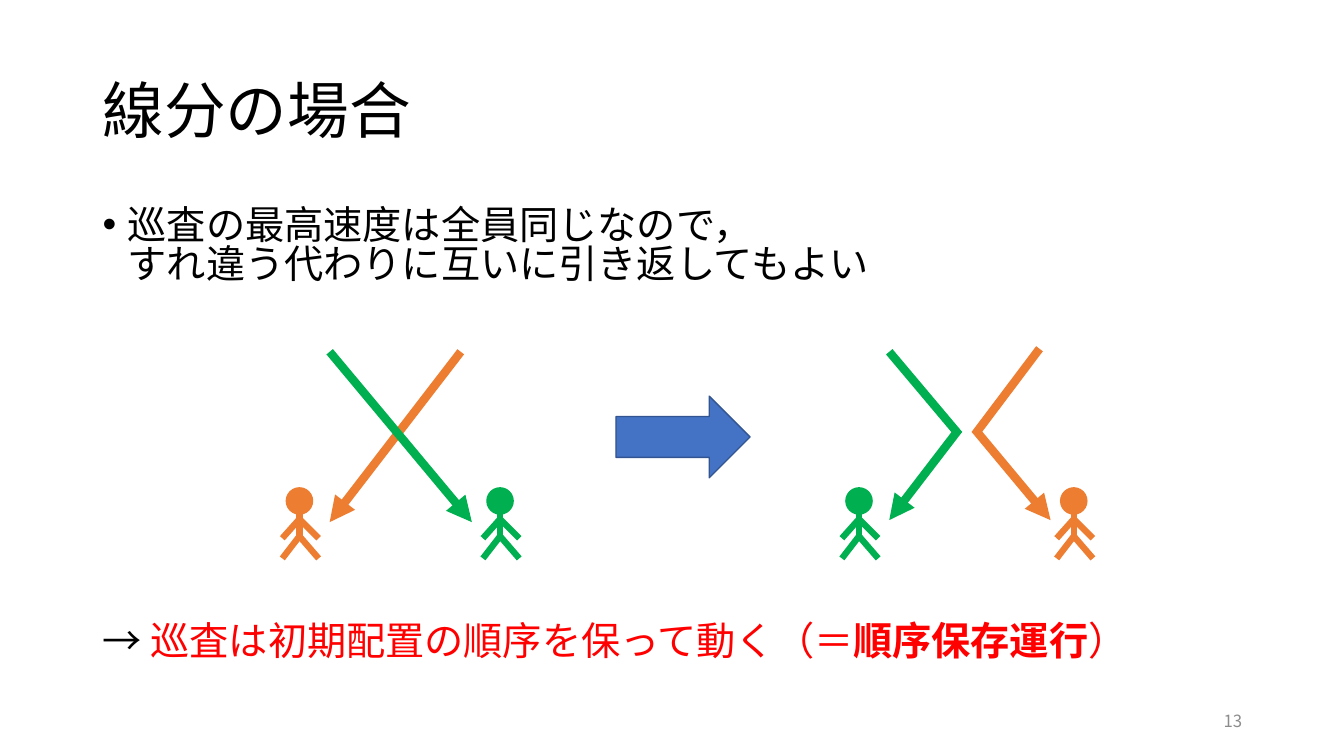
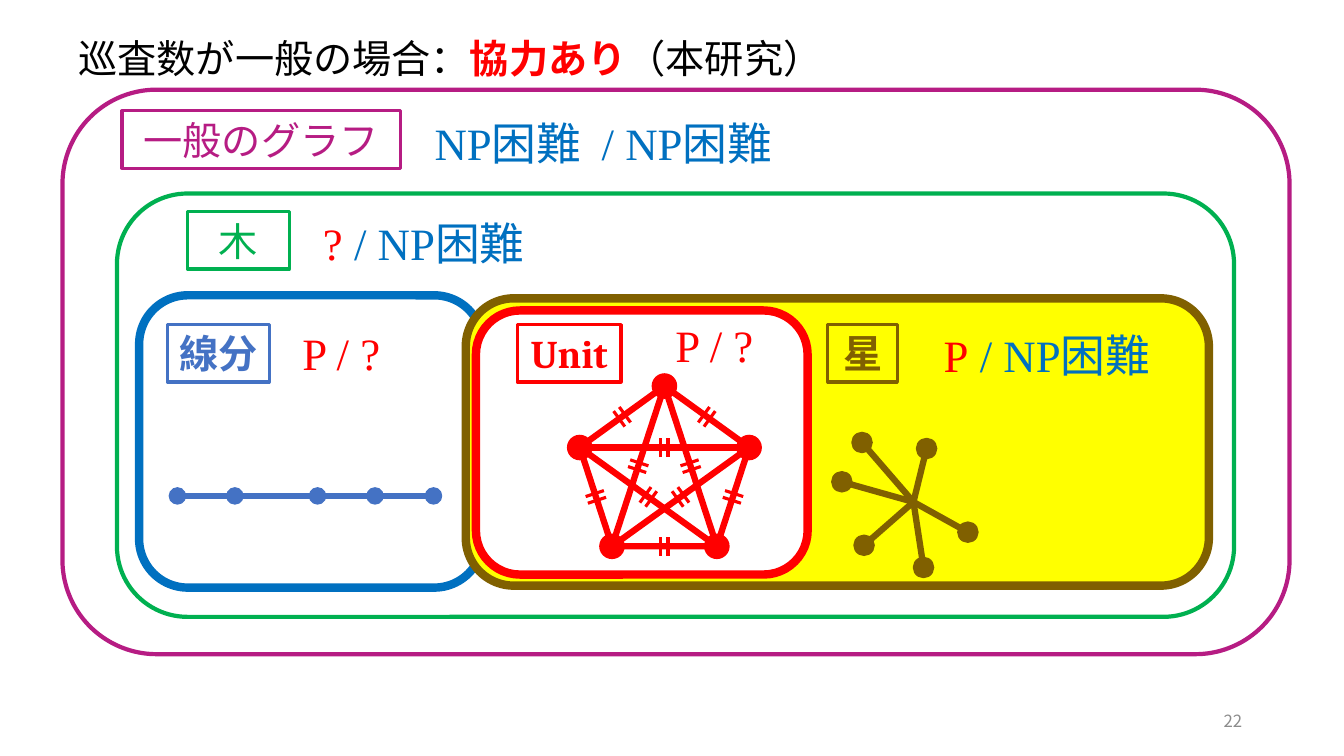
"""Build two slides on patrol schedules: a line segment case and a complexity map."""
from itertools import combinations
from math import hypot

from lxml import etree
from pptx import Presentation
from pptx.dml.color import RGBColor
from pptx.enum.shapes import MSO_CONNECTOR, MSO_SHAPE
from pptx.enum.text import MSO_ANCHOR, PP_ALIGN
from pptx.oxml.ns import qn
from pptx.util import Inches, Pt

STRAIGHT = MSO_CONNECTOR.STRAIGHT
OVAL, RECTANGLE = MSO_SHAPE.OVAL, MSO_SHAPE.RECTANGLE
ROUNDED, PENTAGON = MSO_SHAPE.ROUNDED_RECTANGLE, MSO_SHAPE.REGULAR_PENTAGON
RIGHT_ARROW = MSO_SHAPE.RIGHT_ARROW
TOP, MIDDLE = MSO_ANCHOR.TOP, MSO_ANCHOR.MIDDLE
LEFT, CENTER, RIGHT = PP_ALIGN.LEFT, PP_ALIGN.CENTER, PP_ALIGN.RIGHT

SANS, SERIF, CAMBRIA = "Noto Sans CJK JP", "Times New Roman", "Cambria"
BLACK, WHITE, GRAY = "000000", "FFFFFF", "8C8C8C"
RED, GREEN, ORANGE, PURPLE = "FF0000", "00B050", "ED7D31", "B61C83"
BLUE, STEEL, NAVY = "0070C0", "4472C4", "325491"
YELLOW, BROWN = "FFFF00", "806000"


def color(value):
    """Turn a hex string into a colour."""
    return RGBColor.from_string(value)


def add_span(para, text, size, ink, font, bold):
    """Add one run of text, with its East Asian font."""
    span = para.add_run()
    span.text = text
    span.font.size, span.font.bold, span.font.name = Pt(size), bold, font
    span.font.color.rgb = color(ink)
    etree.SubElement(span._r.get_or_add_rPr(), qn("a:ea"), typeface=SANS)


def write(box, spans, size=28, ink=BLACK, font=SANS, bold=False,
          align=LEFT, anchor=TOP, spacing=None, bullet=False):
    """Fill a box with one paragraph; spans are a text or (text, format) pairs."""
    frame = box.text_frame
    frame.word_wrap, frame.vertical_anchor = True, anchor
    para = frame.paragraphs[0]
    para.alignment, para.line_spacing = align, spacing
    if bullet:
        properties = para._p.get_or_add_pPr()
        properties.set("marL", str(Inches(0.25)))
        properties.set("indent", str(-Inches(0.25)))
        etree.SubElement(properties, qn("a:buFont"), typeface="Arial")
        etree.SubElement(properties, qn("a:buChar"), char="•")
    base = {"size": size, "ink": ink, "font": font, "bold": bold}
    for text, changes in [(spans, {})] if isinstance(spans, str) else spans:
        for number, line in enumerate(text.split("\n")):
            if number:
                para.add_line_break()
            add_span(para, line, **{**base, **changes})


def add_text(page, left, top, width, height, spans, **style):
    """Add a text box."""
    box = page.shapes.add_textbox(*map(Inches, (left, top, width, height)))
    write(box, spans, **style)


def add_shape(page, kind, left, top, width, height, line, weight=1, fill=None):
    """Add a preset shape without a shadow."""
    shape = page.shapes.add_shape(kind, *map(Inches, (left, top, width, height)))
    shape.shadow.inherit = False
    if fill:
        shape.fill.solid()
        shape.fill.fore_color.rgb = color(fill)
    else:
        shape.fill.background()
    shape.line.color.rgb = color(line)
    shape.line.width = Pt(weight)
    return shape


def add_label(page, left, top, width, text, ink, **style):
    """Add a framed label with centred text."""
    box = add_shape(page, RECTANGLE, left, top, width, 0.57, ink, 2.25)
    write(box, text, ink=ink, align=CENTER, anchor=MIDDLE, **style)


def add_line(page, start, end, ink, weight=4.5, arrow=False):
    """Add a straight line, with an arrowhead at its end if asked."""
    line = page.shapes.add_connector(STRAIGHT, *map(Inches, (*start, *end)))
    line.line.color.rgb = color(ink)
    line.line.width = Pt(weight)
    if arrow:
        etree.SubElement(line.line._get_or_add_ln(), qn("a:tailEnd"), type="triangle")
    etree.SubElement(line._element.spPr, qn("a:effectLst"))


def add_dot(page, center, size, ink):
    """Add a filled circle around a point."""
    x, y = center
    add_shape(page, OVAL, x - size / 2, y - size / 2, size, size, ink, fill=ink)


def add_person(page, x, top, ink):
    """Add a stick figure whose head touches the given top."""
    add_dot(page, (x, top + 0.13), 0.26, ink)
    add_line(page, (x, top + 0.26), (x, top + 0.5), ink)
    for joint, reach in ((0.31, 0.5), (0.48, 0.7)):
        for side in (0.19, -0.17):
            add_line(page, (x, top + joint), (x + side, top + reach), ink)


def add_ticks(page, start, end, ink):
    """Mark the middle of an edge with two short strokes across it."""
    length = hypot(end[0] - start[0], end[1] - start[1])
    along_x, along_y = ((b - a) / length for a, b in zip(start, end))
    for shift in (-0.035, 0.035):
        x = (start[0] + end[0]) / 2 + shift * along_x
        y = (start[1] + end[1]) / 2 + shift * along_y
        half_x, half_y = -0.095 * along_y, 0.095 * along_x
        add_line(page, (x - half_x, y - half_y), (x + half_x, y + half_y), ink, 2.25)


def add_unit_graph(page):
    """Add the complete graph on five vertices with equal edges."""
    vertices = [(6.59, 3.83), (7.43, 4.44), (7.11, 5.42), (6.07, 5.42), (5.75, 4.44)]
    add_shape(page, PENTAGON, 5.75, 3.83, 1.68, 1.59, RED, 4.5)
    for first, second in combinations(range(5), 2):
        start, end = vertices[first], vertices[second]
        if second - first in (2, 3):
            add_line(page, start, end, RED)
        add_ticks(page, start, end, RED)
    for vertex in vertices:
        add_dot(page, vertex, 0.24, RED)


def add_star_graph(page):
    """Add the star with six leaves."""
    leaves = [(8.55, 4.39), (9.19, 4.45), (9.6, 5.28),
              (9.16, 5.63), (8.57, 5.41), (8.35, 4.78)]
    for leaf in leaves:
        add_line(page, (9.06, 4.98), leaf, BROWN)
        add_dot(page, leaf, 0.2, BROWN)


def add_path_graph(page):
    """Add the path with five vertices."""
    add_line(page, (1.76, 4.92), (4.3, 4.92), STEEL)
    for x in (1.76, 2.33, 3.15, 3.72, 4.3):
        add_dot(page, (x, 4.92), 0.16, STEEL)


def add_page(deck, number):
    """Add a blank slide with its page number."""
    page = deck.slides.add_slide(deck.slide_layouts[6])
    add_text(page, 9.42, 6.95, 3, 0.4, str(number), size=12, ink=GRAY,
             align=RIGHT, anchor=MIDDLE)
    return page


def build_segment_page(deck):
    """Show that crossing patrollers may turn back instead."""
    page = add_page(deck, 13)
    add_text(page, 0.92, 0.4, 11.5, 1.45, "線分の場合", size=44,
             anchor=MIDDLE, spacing=0.9)
    add_text(page, 0.92, 2.02, 11.5, 1.1,
             "巡査の最高速度は全員同じなので，\nすれ違う代わりに互いに引き返してもよい",
             spacing=0.83, bullet=True)
    add_text(page, 0.92, 6.14, 11.5, 0.6,
             [("→ ", {}), ("巡査は初期配置の順序を保って動く（＝", {"ink": RED}),
              ("順序保存運行", {"ink": RED, "bold": True}), ("）", {"ink": RED})],
             spacing=0.83)
    for start, end, ink, arrow in (
            ((4.57, 3.49), (3.27, 5.18), ORANGE, True),
            ((3.27, 3.49), (4.68, 5.18), GREEN, True),
            ((9.51, 4.26), (8.82, 5.16), GREEN, True),
            ((9.67, 4.26), (10.42, 5.16), ORANGE, True),
            ((9.51, 4.31), (8.82, 3.49), GREEN, False),
            ((9.67, 4.31), (10.31, 3.46), ORANGE, False)):
        add_line(page, start, end, ink, 6, arrow)
    add_shape(page, RIGHT_ARROW, 6.11, 3.93, 1.33, 0.81, NAVY, fill=STEEL)
    for x, ink in ((2.97, ORANGE), (4.96, GREEN), (8.52, GREEN), (10.65, ORANGE)):
        add_person(page, x, 4.84, ink)


def build_complexity_page(deck):
    """Map the complexity of each graph class."""
    page = add_page(deck, 22)
    add_text(page, 0.68, 0.29, 7.66, 0.57,
             [("巡査数が一般の場合：", {}), ("協力あり", {"ink": RED, "bold": True}),
              ("（本研究）", {})])
    for left, top, width, height, ink, weight, fill in (
            (0.62, 0.89, 12.17, 5.6, PURPLE, 3, None),
            (1.16, 1.92, 11.08, 4.2, GREEN, 3, None),
            (1.38, 2.93, 3.41, 2.9, BLUE, 6, None),
            (4.62, 2.96, 7.37, 2.85, BROWN, 6, YELLOW),
            (4.72, 3.08, 3.29, 2.62, RED, 6, WHITE)):
        add_shape(page, ROUNDED, left, top, width, height, ink, weight, fill)
    add_label(page, 1.21, 1.1, 2.76, "一般のグラフ", PURPLE)
    add_label(page, 1.86, 2.1, 1.01, "木", GREEN)
    add_label(page, 1.66, 3.22, 1.01, "線分", STEEL, bold=True)
    add_label(page, 5.13, 3.22, 1.03, "Unit", RED, bold=True, font=CAMBRIA)
    add_label(page, 8.21, 3.22, 0.69, "星", BROWN, bold=True)
    add_unit_graph(page)
    add_star_graph(page)
    add_path_graph(page)
    hard = (" / NP", {"ink": BLUE}), ("困難", {"ink": BLUE, "font": SANS})
    for left, top, width, spans, align in (
            (3.94, 1.1, 4.09, [("NP", {"ink": BLUE}),
                               ("困難 ", {"ink": BLUE, "font": SANS}), *hard], CENTER),
            (2.91, 2.09, 2.59, [("?", {}), *hard], CENTER),
            (2.9, 3.18, 1.06, "P / ?", LEFT),
            (6.6, 3.1, 1.06, "P / ?", LEFT),
            (9.09, 3.2, 2.59, [("P", {}), *hard], CENTER)):
        add_text(page, left, top, width, 0.64, spans, size=32, ink=RED,
                 font=SERIF, align=align)


def main():
    """Build and save the deck."""
    deck = Presentation()
    deck.slide_width, deck.slide_height = Inches(13.33), Inches(7.5)
    build_segment_page(deck)
    build_complexity_page(deck)
    deck.save("out.pptx")


if __name__ == "__main__":
    main()
